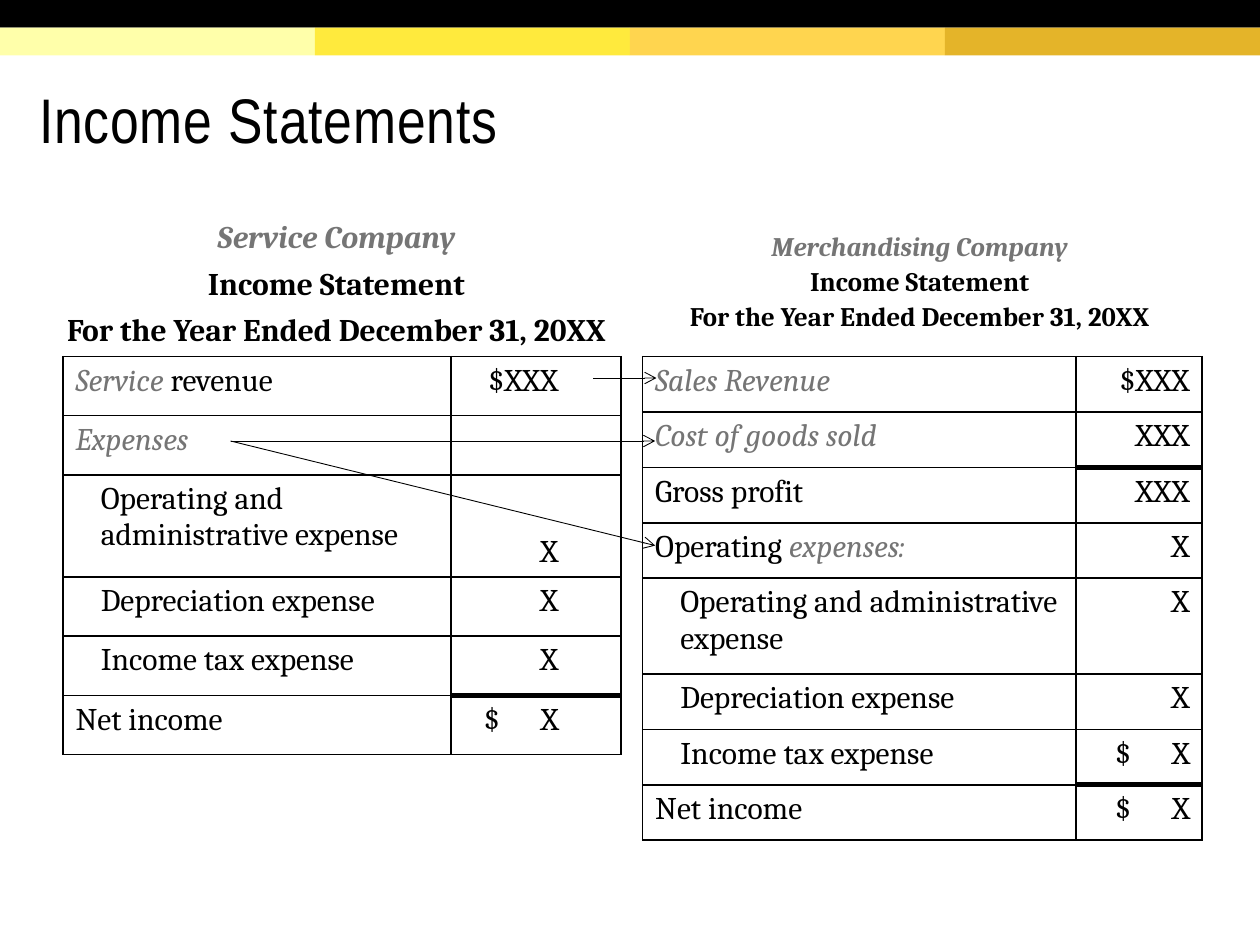
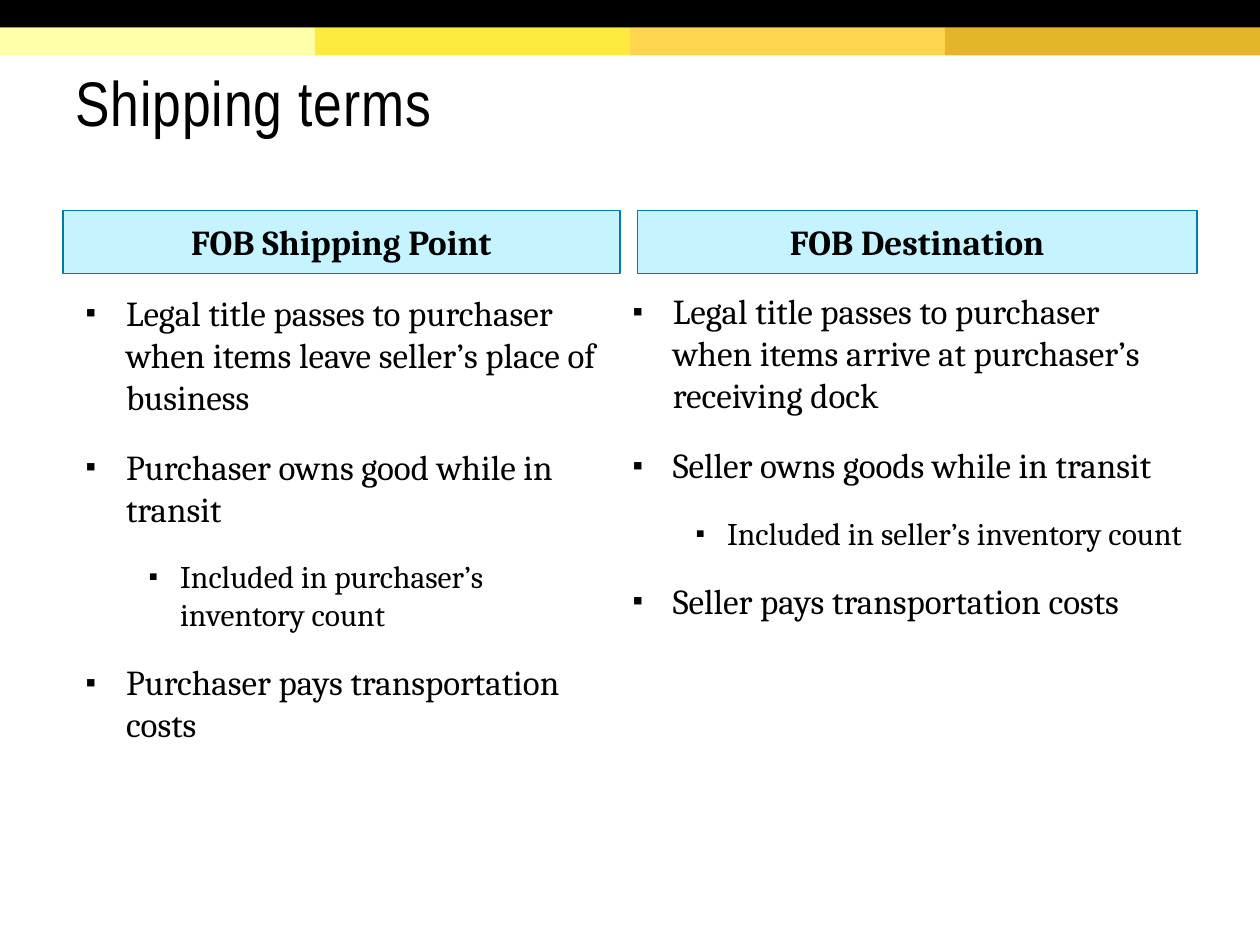
from lxml import etree
from pptx import Presentation
from pptx.dml.color import RGBColor
from pptx.enum.shapes import MSO_CONNECTOR, MSO_SHAPE
from pptx.enum.text import MSO_ANCHOR, MSO_AUTO_SIZE, PP_ALIGN
from pptx.oxml.ns import qn
from pptx.util import Inches, Pt

LEFT, CENTER, RIGHT = PP_ALIGN.LEFT, PP_ALIGN.CENTER, PP_ALIGN.RIGHT
TOP, MIDDLE, BOTTOM = MSO_ANCHOR.TOP, MSO_ANCHOR.MIDDLE, MSO_ANCHOR.BOTTOM
RECT, LINE, FIXED = MSO_SHAPE.RECTANGLE, MSO_CONNECTOR.STRAIGHT, MSO_AUTO_SIZE.NONE

COLORS = {
    "black": "000000", "gray": "757575", "sky": "C5F3FF", "teal": "007FA3",
    "cream": "FFFFAA", "lemon": "FFEA3D", "amber": "FFD54F", "gold": "E4B429",
}
HEAD, BODY = "Arial Narrow", "Cambria"
PERIOD = ["Income Statement", "For the Year Ended December 31, 20XX"]

SERVICE = [
    ("*Service* revenue", "$XXX"),
    ("*Expenses*", ""),
    (">Operating and administrative expense", "X"),
    (">Depreciation expense", "X"),
    (">Income tax expense", "X"),
    ("Net income", "$\tX"),
]
GOODS = [
    ("*Sales Revenue*", "$XXX"),
    ("*Cost of goods sold*", "XXX"),
    ("Gross profit", "XXX"),
    ("Operating *expenses:*", "X"),
    (">Operating and administrative expense", "X"),
    (">Depreciation expense", "X"),
    (">Income tax expense", "$\tX"),
    ("Net income", "$\tX"),
]
POINT = [
    (0, "Legal title passes to purchaser when items leave seller’s place of business"),
    (0, "Purchaser owns good while in transit"),
    (1, "Included in purchaser’s inventory count"),
    (0, "Purchaser pays transportation costs"),
]
DEST = [
    (0, "Legal title passes to purchaser when items arrive at purchaser’s receiving dock"),
    (0, "Seller owns goods while in transit"),
    (1, "Included in seller’s inventory count"),
    (0, "Seller pays transportation costs"),
]


def color(name):
    """Return the named colour."""
    return RGBColor.from_string(COLORS[name])


def add(parent, tag, **attrs):
    """Append an XML element with the given attributes."""
    return etree.SubElement(parent, qn(tag), {k: str(v) for k, v in attrs.items()})


class Deck:
    """Hold the shared style and the current slide."""

    def __init__(self):
        """Start an empty deck."""
        self.prs = Presentation()
        self.prs.slide_width, self.prs.slide_height = Inches(10), Inches(7.5)

    def start(self, title, box):
        """Add a slide with its bands and title."""
        self.slide = self.prs.slides.add_slide(self.prs.slide_layouts[4])
        self.band("black", 0, 0, 10)
        for i, name in enumerate(["cream", "lemon", "amber", "gold"]):
            self.band(name, 2.5 * i, 0.22, 2.5)
        frame = self.holder(0, box, MIDDLE)
        frame.margin_top = Inches(0.1)
        frame.text = title
        para = frame.paragraphs[0]
        para.alignment, para.line_spacing = LEFT, 0.85
        self.style(para, 36, font=HEAD)
        para.runs[0].font._element.set("spc", "50")

    def band(self, name, x, y, w):
        """Draw one band at the top."""
        shape = self.slide.shapes.add_shape(RECT, Inches(x), Inches(y), Inches(w), Inches(0.22))
        shape.shadow.inherit = False
        shape.fill.solid()
        shape.fill.fore_color.rgb = color(name)
        shape.line.fill.background()

    def place(self, idx, box):
        """Move a placeholder and return it."""
        shape = self.slide.placeholders[idx]
        shape.left, shape.top, shape.width, shape.height = map(Inches, box)
        return shape

    def holder(self, idx, box, anchor):
        """Return the text frame of a moved placeholder."""
        frame = self.place(idx, box).text_frame
        frame.word_wrap, frame.auto_size = True, FIXED
        frame.vertical_anchor = anchor
        return frame

    def style(self, para, size, name="black", bold=False, italic=False, font=BODY):
        """Format all runs of a paragraph."""
        for run in para.runs:
            face = run.font
            face.name, face.size = font, Pt(size)
            face.bold, face.italic = bold, italic
            face.color.rgb = color(name)

    def heading(self, idx, box, firm, size, pitch):
        """Write the three lines above a statement."""
        frame = self.holder(idx, box, MIDDLE)
        frame.text = "\n".join([firm] + PERIOD)
        for i, para in enumerate(frame.paragraphs):
            para.alignment, para.line_spacing = CENTER, pitch
            para.space_before, para.space_after = Pt(0), Pt(8)
            self.style(para, size, "black" if i else "gray", True, i == 0)

    def label(self, idx, box, text):
        """Write a framed column label."""
        frame = self.holder(idx, box, MIDDLE)
        shape = self.slide.placeholders[idx]
        shape.fill.solid()
        shape.fill.fore_color.rgb = color("sky")
        shape.line.color.rgb, shape.line.width = color("teal"), Pt(0.75)
        frame.text = text
        para = frame.paragraphs[0]
        para.alignment, para.space_before = CENTER, Pt(0)
        self.style(para, 20, bold=True)

    def bullets(self, idx, box, items):
        """Write a list with two levels."""
        frame = self.holder(idx, box, TOP)
        frame.text = "\n".join(text for _, text in items)
        for i, (para, (level, _)) in enumerate(zip(frame.paragraphs, items)):
            para.level = level
            left, hang = [(0.32, 0.32), (0.75, 0.25)][level]
            prop = para._p.get_or_add_pPr()
            prop.set("marL", str(Inches(left)))
            prop.set("indent", str(-Inches(hang)))
            add(add(prop, "a:buClr"), "a:srgbClr", val=COLORS["black"])
            add(prop, "a:buSzPct", val=85000)
            add(prop, "a:buChar", char="▪")
            para.space_before, para.space_after = Pt(8 if i else 0), Pt(8)
            self.style(para, 18 if level else 20)

    def border(self, cell, top, bottom):
        """Set the four sides of a cell, widths in points."""
        prop = cell._tc.get_or_add_tcPr()
        for side, width in zip("LRTB", (1, 1, top, bottom)):
            line = add(prop, f"a:ln{side}", w=Pt(width))
            add(add(line, "a:solidFill"), "a:srgbClr", val=COLORS["black"])
        cell.fill.background()

    def entry(self, cell, text):
        """Write an account name, with grey italics between stars."""
        para = cell.text_frame.paragraphs[0]
        if text.startswith(">"):
            para._p.get_or_add_pPr().set("marL", str(Inches(0.2)))
        for i, part in enumerate(text.lstrip(">").split("*")):
            if part:
                run = para.add_run()
                run.text = part
                face = run.font
                face.name, face.size, face.bold = BODY, Pt(18), False
                face.italic = i % 2 == 1
                face.color.rgb = color("gray" if i % 2 else "black")

    def amount(self, cell, text, width, inset):
        """Write an amount, with a tab after a lone dollar sign."""
        para = cell.text_frame.paragraphs[0]
        cell.margin_right = Inches(inset)
        para.alignment = RIGHT
        if "\t" in text:
            para.alignment = LEFT
            cell.margin_left = Inches(width - inset - 0.59)
            cell.margin_right = Inches(0.05)
            tabs = add(para._p.get_or_add_pPr(), "a:tabLst")
            add(tabs, "a:tab", pos=Inches(0.45), algn="l")
        para.text = text
        self.style(para, 18)

    def sheet(self, x, rows, cols, high, tall, rules, inset, low=None):
        """Build a statement; rules are the rows closed by a thick line."""
        sizes = [tall if "administrative" in name else high for name, _ in rows]
        table = self.slide.shapes.add_table(
            len(rows), 2, Inches(x), Inches(2.83), Inches(sum(cols)), Inches(sum(sizes))).table
        table.first_row = table.horz_banding = False
        for col, width in zip(table.columns, cols):
            col.width = Inches(width)
        for i, (name, value) in enumerate(rows):
            table.rows[i].height = Inches(sizes[i])
            head, cell = table.cell(i, 0), table.cell(i, 1)
            self.entry(head, name)
            self.amount(cell, value, cols[1], inset)
            self.border(head, 1, 1)
            self.border(cell, 3 if i - 1 in rules else 1, 3 if i in rules else 1)
            if i == low:
                cell.vertical_anchor = BOTTOM

    def arrow(self, x1, y1, x2, y2):
        """Draw a thin arrow."""
        line = self.slide.shapes.add_connector(LINE, *map(Inches, (x1, y1, x2, y2)))
        line.line.color.rgb, line.line.width = color("black"), Pt(0.5)
        add(line.line._get_or_add_ln(), "a:tailEnd", type="arrow")
        add(line._element.spPr, "a:effectLst")

    def tidy(self):
        """Remove placeholders left empty."""
        for shape in list(self.slide.placeholders):
            if not shape.text_frame.text:
                shape.element.getparent().remove(shape.element)


def main():
    """Build both slides and save them."""
    deck = Deck()
    deck.start("Income Statements", (0.21, 0.47, 9.49, 0.98))
    deck.heading(1, (0.42, 1.83, 4.5, 0.87), "Service Company", 18, 0.85)
    deck.heading(3, (5.06, 1.83, 4.48, 0.87), "Merchandising Company", 15.3, 0.65)
    deck.sheet(0.5, SERVICE, (3.08, 1.35), 0.47, 0.81, {4}, 0.5, low=2)
    deck.sheet(5.1, GOODS, (3.44, 1), 0.44, 0.76, {1, 6}, 0.1)
    deck.arrow(4.71, 3, 5.21, 3)
    for y in (3.5, 4.33):
        deck.arrow(1.83, 3.5, 5.2, y)
    deck.tidy()

    deck.start("Shipping terms", (0.5, 0.23, 9, 1.2))
    deck.label(1, (0.5, 1.67, 4.42, 0.5), "FOB Shipping Point")
    deck.bullets(2, (0.58, 2.26, 4.34, 4.57), POINT)
    deck.label(3, (5.06, 1.67, 4.44, 0.5), "FOB Destination")
    deck.bullets(4, (4.92, 2.25, 4.58, 4.08), DEST)
    deck.tidy()
    deck.prs.save("out.pptx")


if __name__ == "__main__":
    main()
